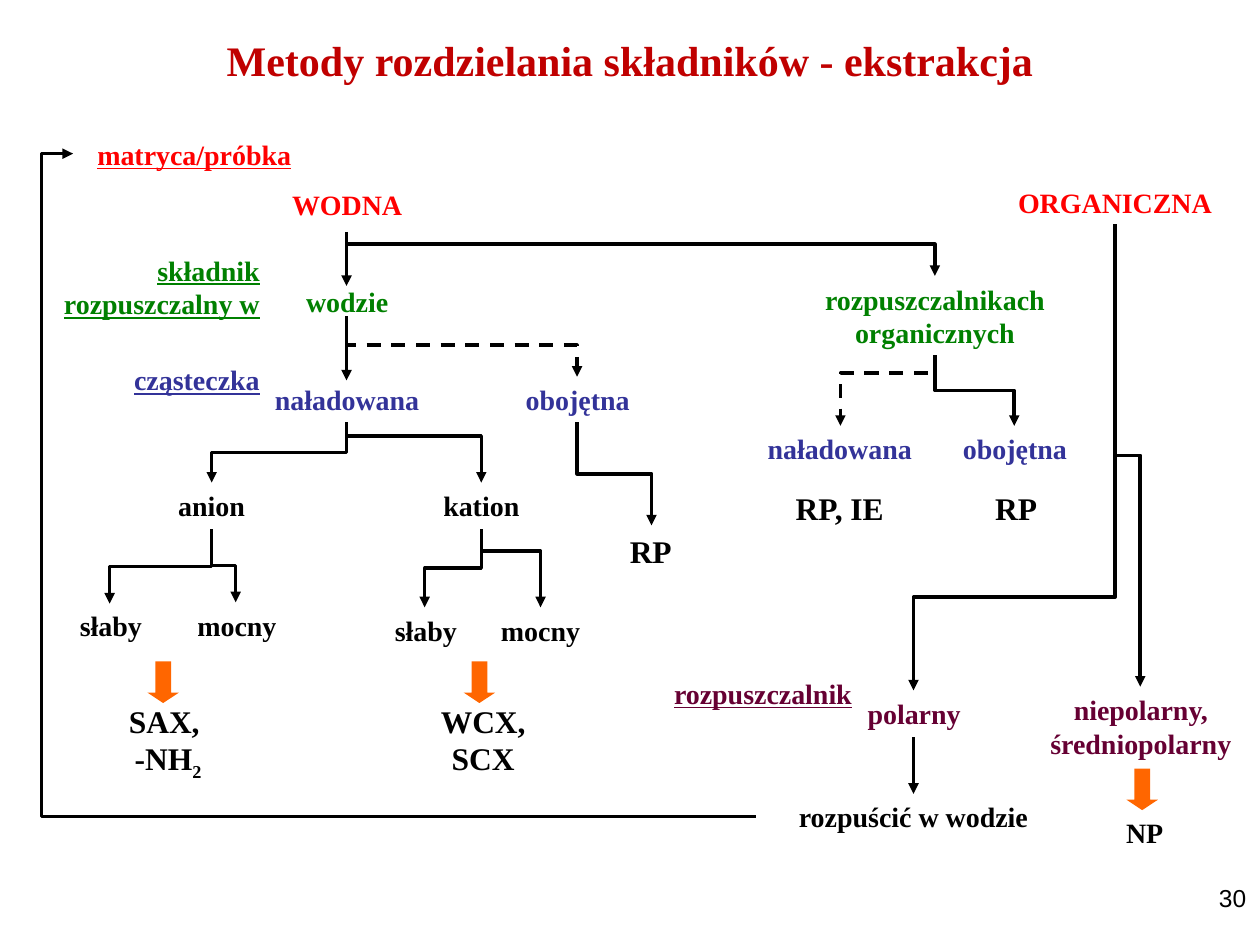
from lxml.etree import SubElement
from pptx import Presentation
from pptx.dml.color import RGBColor
from pptx.enum.dml import MSO_LINE
from pptx.enum.shapes import MSO_CONNECTOR, MSO_SHAPE
from pptx.enum.text import MSO_ANCHOR, MSO_AUTO_SIZE, PP_ALIGN
from pptx.oxml.ns import qn
from pptx.util import Inches, Pt

BLACK = RGBColor(0x00, 0x00, 0x00)
DARK_RED = RGBColor(0xC0, 0x00, 0x00)
RED = RGBColor(0xFF, 0x00, 0x00)
GREEN = RGBColor(0x00, 0x80, 0x00)
INDIGO = RGBColor(0x33, 0x33, 0x99)
PLUM = RGBColor(0x66, 0x00, 0x33)
ORANGE = RGBColor(0xFF, 0x66, 0x00)


def write(frame, text, size=16, color=BLACK, font="Times New Roman", bold=True,
          underline=None, align=PP_ALIGN.CENTER, subscript=None):
    frame.word_wrap = True
    para = frame.paragraphs[0]
    para.text = text
    para.alignment = align
    if subscript:
        span = para.add_run()
        span.text = subscript
        span._r.get_or_add_rPr().set("baseline", "-25000")
    for span in para.runs:
        span.font.name = font
        span.font.size = Pt(size)
        span.font.bold = bold
        span.font.underline = underline
        span.font.color.rgb = color


def add_arrow(kind, x1, y1, x2, y2, bend=None, rotation=0, dash=None):
    arrow = slide.shapes.add_connector(
        kind, Inches(x1), Inches(y1), Inches(x2), Inches(y2))
    arrow.line.color.rgb = BLACK
    arrow.line.width = Pt(2)
    if dash:
        arrow.line.dash_style = dash
    properties = arrow._element.spPr
    if rotation:
        properties.find(qn("a:xfrm")).set("rot", str(rotation * 60000))
    if bend is not None:
        guides = properties.find(qn("a:prstGeom")).find(qn("a:avLst"))
        SubElement(guides, qn("a:gd"), name="adj1", fmla=f"val {round(bend * 100000)}")
    SubElement(arrow.line._get_or_add_ln(), qn("a:tailEnd"), type="triangle")
    SubElement(properties, qn("a:effectLst"))


deck = Presentation()
deck.slide_width, deck.slide_height = Inches(10), Inches(7.5)
slide = deck.slides.add_slide(deck.slide_layouts[5])

title = slide.shapes.title
title.left, title.top = Inches(0.75), Inches(0.1)
title.width, title.height = Inches(8.5), Inches(0.74)
title.text_frame.vertical_anchor = MSO_ANCHOR.MIDDLE
write(title.text_frame, "Metody rozdzielania składników - ekstrakcja",
      size=24, color=DARK_RED)

# Row headings: left, top, width, height, text, colour
row_headings = [
    (0.58, 1.04, 1.83, 0.37, "matryca/próbka", RED),
    (0.33, 1.96, 1.83, 0.64, "składnik rozpuszczalny w", GREEN),
    (0.33, 2.83, 1.83, 0.37, "cząsteczka", INDIGO),
    (5.03, 5.32, 1.83, 0.37, "rozpuszczalnik", PLUM),
]
# Tree nodes: left, top, width, height, text, colour
nodes = [
    (2.17, 1.44, 1.17, 0.37, "WODNA", RED),
    (7.97, 1.42, 1.76, 0.37, "ORGANICZNA", RED),
    (2.17, 2.21, 1.17, 0.37, "wodzie", GREEN),
    (6.17, 2.19, 2.5, 0.64, "rozpuszczalnikach organicznych", GREEN),
    (1.92, 2.99, 1.67, 0.37, "naładowana", INDIGO),
    (3.75, 2.99, 1.67, 0.37, "obojętna", INDIGO),
    (5.83, 3.38, 1.67, 0.37, "naładowana", INDIGO),
    (7.22, 3.38, 1.67, 0.37, "obojętna", INDIGO),
    (0.68, 3.83, 2, 0.37, "anion", BLACK),
    (2.82, 3.83, 2, 0.37, "kation", BLACK),
    (0.42, 4.78, 0.92, 0.37, "słaby", BLACK),
    (1.42, 4.78, 0.92, 0.37, "mocny", BLACK),
    (2.92, 4.82, 0.92, 0.37, "słaby", BLACK),
    (3.83, 4.82, 0.92, 0.37, "mocny", BLACK),
    (6.42, 5.48, 1.67, 0.37, "polarny", PLUM),
    (8.14, 5.45, 1.83, 0.64, "niepolarny, średniopolarny", PLUM),
    (6, 6.3, 2.5, 0.37, "rozpuścić w wodzie", BLACK),
    (8.75, 6.42, 0.67, 0.37, "NP", BLACK),
]
# Extraction methods: left, top, height, text, subscript
methods = [
    (0.67, 5.52, 0.74, "SAX, \v-NH", "2"),
    (3.17, 5.52, 0.7, "WCX, SCX", None),
    (4.5, 4.17, 0.4, "RP", None),
    (6, 3.83, 0.4, "RP, IE", None),
    (7.4, 3.83, 0.4, "RP", None),
]
labels = [(*heading, {"underline": True, "align": PP_ALIGN.RIGHT})
          for heading in row_headings]
labels += [(*node, {}) for node in nodes]
labels += [(left, top, 1.33, height, text, BLACK, {"size": 18, "subscript": subscript})
           for left, top, height, text, subscript in methods]
for left, top, width, height, text, color, style in labels:
    box = slide.shapes.add_textbox(
        Inches(left), Inches(top), Inches(width), Inches(height))
    write(box.text_frame, text, color=color, **style)
    box.text_frame.auto_size = MSO_AUTO_SIZE.SHAPE_TO_FIT_TEXT

for x, top, bottom in [(2.75, 1.85, 2.27), (2.75, 2.52, 3.02), (7.25, 5.85, 6.3)]:
    add_arrow(MSO_CONNECTOR.STRAIGHT, x, top, x, bottom)

# Branches leave downwards: start x, start y, end x, end y, bend, dash
branches = [
    (2.75, 1.84, 7.42, 2.19, 0.28, None),
    (2.75, 2.51, 4.58, 2.99, 0.48, MSO_LINE.DASH),
    (2.75, 3.35, 1.68, 3.83, 0.5, None),
    (2.75, 3.35, 3.82, 3.83, 0.23, None),
    (4.58, 3.35, 5.17, 4.17, 0.5, None),
    (1.68, 4.2, 0.87, 4.79, 0.5, None),
    (1.68, 4.2, 1.87, 4.78, 0.5, None),
    (3.82, 4.2, 3.37, 4.82, 0.5, None),
    (3.82, 4.2, 4.29, 4.82, 0.28, None),
    (7.42, 2.82, 6.67, 3.38, 0.25, MSO_LINE.DASH),
    (7.42, 2.82, 8.05, 3.38, 0.5, None),
    (8.85, 1.95, 7.25, 5.48, 0.79, None),
    (8.85, 1.78, 9.05, 5.45, 0.5, None),
]
for x1, y1, x2, y2, bend, dash in branches:
    # An elbow starts sideways, so it is laid flat about its centre and turned
    middle_x, middle_y = (x1 + x2) / 2, (y1 + y2) / 2
    side = 1 if x2 > x1 else -1
    reach, drop = abs(x2 - x1) / 2, (y2 - y1) / 2
    add_arrow(MSO_CONNECTOR.ELBOW,
              middle_x + side * drop, middle_y - reach,
              middle_x - side * drop, middle_y + reach,
              bend=bend, rotation=270 if side > 0 else 90, dash=dash)

# Way back from the dissolved sample to the top
add_arrow(MSO_CONNECTOR.ELBOW, 6, 6.48, 0.58, 1.22, bend=1.046)

for left, top in [(1.17, 5.25), (3.68, 5.25), (8.94, 6.1)]:
    block_arrow = slide.shapes.add_shape(
        MSO_SHAPE.DOWN_ARROW, Inches(left), Inches(top), Inches(0.25), Inches(0.33))
    block_arrow.adjustments[0] = 0.5
    block_arrow.adjustments[1] = 0.33
    block_arrow.fill.solid()
    block_arrow.fill.fore_color.rgb = ORANGE
    block_arrow.line.fill.background()
    block_arrow.shadow.inherit = False

page_number = slide.shapes.add_textbox(
    Inches(7.66), Inches(6.96), Inches(2.33), Inches(0.52))
write(page_number.text_frame, "30", size=14, font="Arial", bold=False,
      align=PP_ALIGN.RIGHT)

deck.save("out.pptx")
